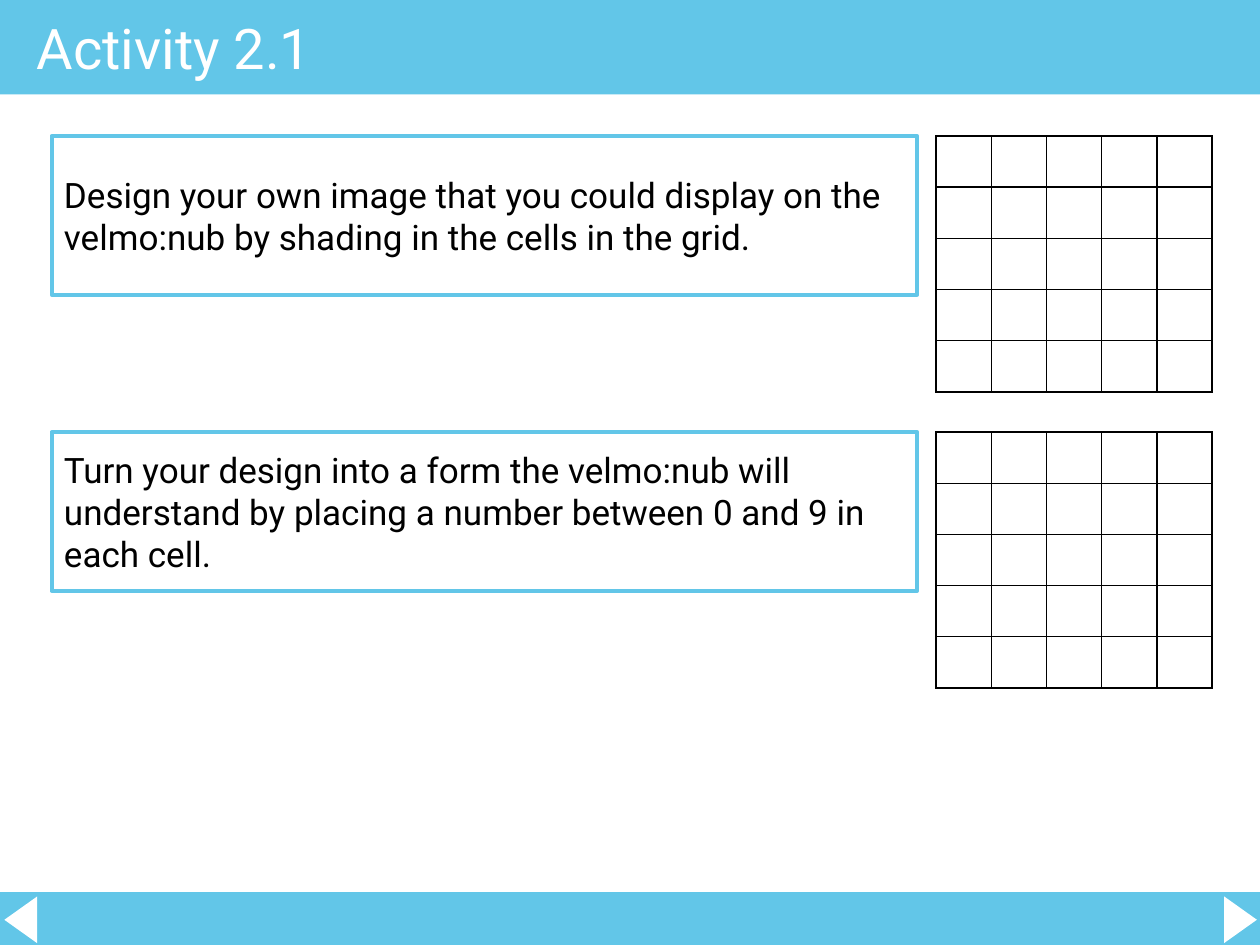
from pptx import Presentation
from pptx.dml.color import RGBColor as RGB
from pptx.enum.shapes import MSO_SHAPE as Kind
from pptx.enum.text import MSO_ANCHOR as Anchor, PP_ALIGN as Align
from pptx.oxml import parse_xml
from pptx.oxml.ns import nsdecls
from pptx.util import Inches, Pt

SKY = RGB(0x62, 0xC6, 0xE8)
WHITE = RGB(0xFF, 0xFF, 0xFF)
BLACK = RGB(0, 0, 0)
FONT = "Roboto"
SIZE = 5  # cells along each side of a grid

TASKS = [
    (1.08, "Design your own image that you could display on the "
           "velmo:nub by shading in the cells in the grid."),
    (3.43, "Turn your design into a form the velmo:nub will understand "
           "by placing a number between 0 and 9 in each cell."),
]


def add_solid(slide, kind, box, color, turn=0):
    shape = slide.shapes.add_shape(kind, *map(Inches, box))
    shape.shadow.inherit = False
    shape.fill.solid()
    shape.fill.fore_color.rgb = color
    shape.line.fill.background()
    shape.rotation = turn


def set_text(frame, text, size, color):
    frame.text = text
    frame.word_wrap = True
    frame.vertical_anchor = Anchor.MIDDLE
    para = frame.paragraphs[0]
    para.alignment = Align.LEFT
    para.font.name = FONT
    para.font.size = Pt(size)
    para.font.color.rgb = color


def add_title(slide, text):
    title = slide.shapes.title
    title.left, title.top = Inches(0.19), Inches(0)
    title.width, title.height = Inches(9), Inches(0.75)
    set_text(title.text_frame, text, 32, WHITE)
    # The title must lie in front of the header bar.
    title.element.getparent().append(title.element)


def add_task(slide, top, text):
    box = slide.shapes.add_shape(
        Kind.RECTANGLE, Inches(0.41), Inches(top), Inches(6.87), Inches(1.26))
    box.shadow.inherit = False
    box.fill.background()
    box.line.color.rgb = SKY
    box.line.width = Pt(2.25)
    set_text(box.text_frame, text, 20, BLACK)


def add_border(cell):
    props = cell._tc.get_or_add_tcPr()
    for side in ("lnL", "lnR", "lnT", "lnB"):
        props.append(parse_xml(
            f'<a:{side} {nsdecls("a")} w="{Pt(1)}"><a:solidFill>'
            f'<a:srgbClr val="{BLACK}"/></a:solidFill></a:{side}>'))


def add_grid(slide, top):
    table = slide.shapes.add_table(
        SIZE, SIZE, Inches(7.43), Inches(top), Inches(2.19), Inches(2.03)).table
    table.first_row = table.horz_banding = False
    for row in table.rows:
        for cell in row.cells:
            cell.margin_top = cell.margin_bottom = 0
            add_border(cell)
            cell.fill.background()


def main():
    deck = Presentation()
    deck.slide_width, deck.slide_height = Inches(10), Inches(7.5)
    slide = deck.slides.add_slide(deck.slide_layouts[5])

    add_solid(slide, Kind.RECTANGLE, (0, 0, 10, 0.75), SKY)
    add_solid(slide, Kind.RECTANGLE, (0, 7.08, 10, 0.42), SKY)
    for left, turn in ((9.66, 90), (-0.02, 270)):
        add_solid(slide, Kind.ISOSCELES_TRIANGLE,
                  (left, 7.17, 0.37, 0.26), WHITE, turn)
    add_title(slide, "Activity 2.1")

    for top, text in TASKS:
        add_task(slide, top, text)
        add_grid(slide, top)
    deck.save("out.pptx")


if __name__ == "__main__":
    main()
